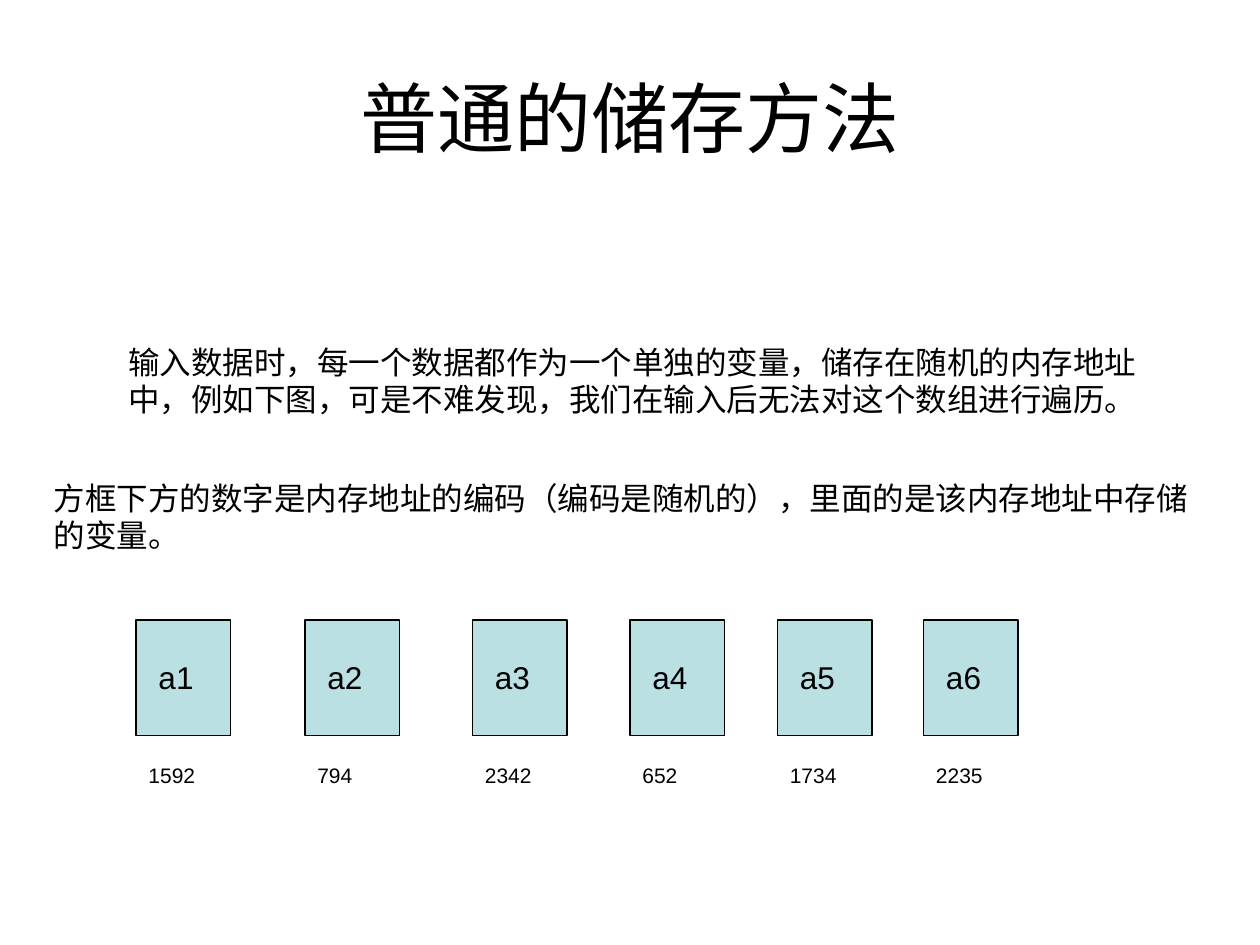
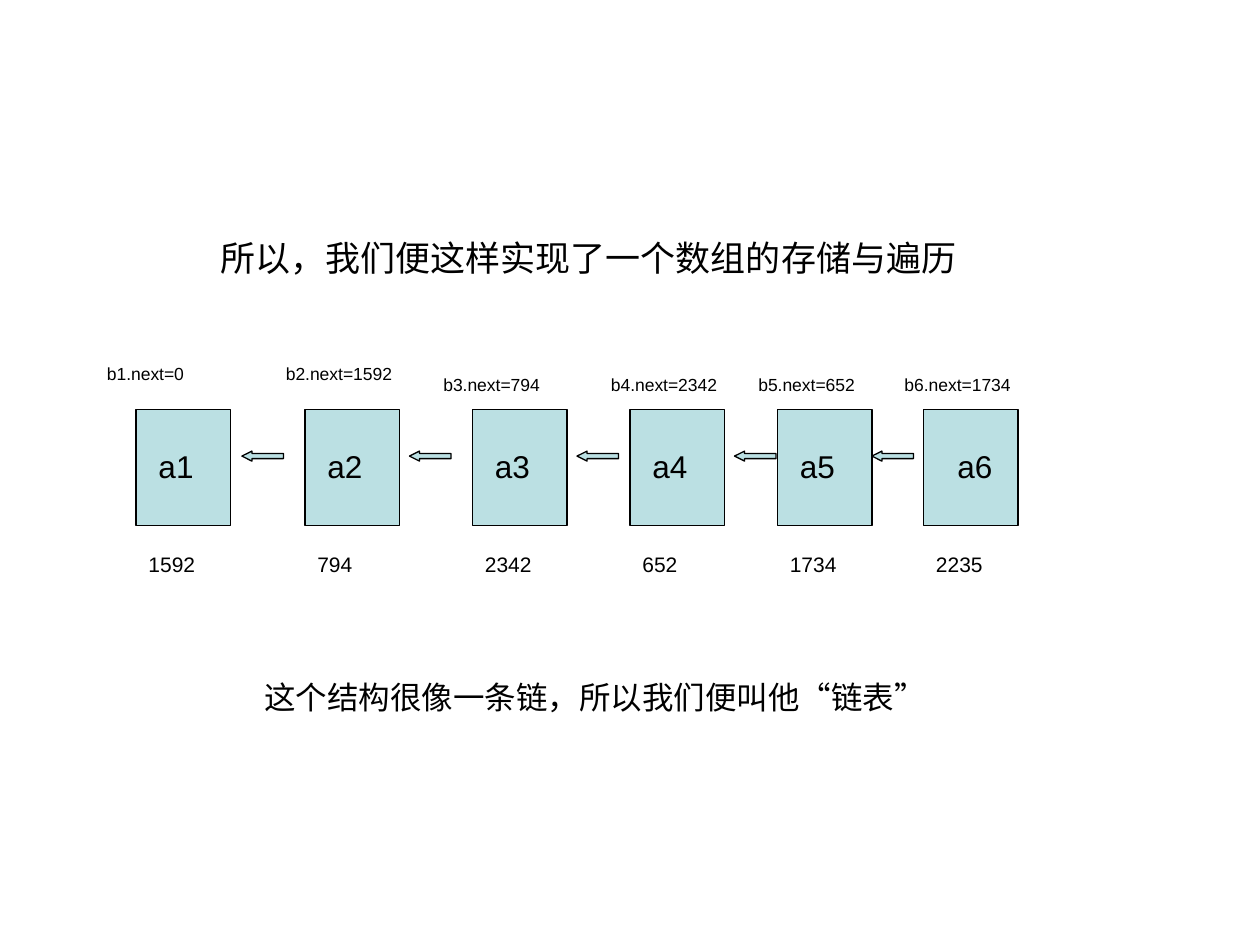
from dataclasses import dataclass

from pptx import Presentation
from pptx.dml.color import RGBColor
from pptx.enum.shapes import MSO_SHAPE as Preset
from pptx.enum.text import MSO_ANCHOR as Anchor, MSO_AUTO_SIZE as AutoSize, PP_ALIGN as Align
from pptx.shapes.autoshape import Shape
from pptx.slide import Slide
from pptx.util import Inches, Pt

BLACK = RGBColor(0x00, 0x00, 0x00)
CELL_FILL = RGBColor(0xBB, 0xE0, 0xE3)
FONT = "Arial"
BODY_SIZE, ADDRESS_SIZE, NEXT_SIZE = 18, 12, 10
CELL_W, CELL_H = 0.75, 0.92
ARROW_W, ARROW_H = 0.33, 0.08


@dataclass(frozen=True)
class Node:
    """A stored variable with its address and its link to the previous node."""
    name: str
    left: float
    address: str
    next_left: float
    next_top: float
    next_address: str


NODES = [
    Node("1", 1.08, "1592", 0.75, 2.83, "0"),
    Node("2", 2.42, "794", 2.17, 2.83, "1592"),
    Node("3", 3.75, "2342", 3.42, 2.92, "794"),
    Node("4", 5.00, "652", 4.75, 2.92, "2342"),
    Node("5", 6.17, "1734", 5.92, 2.92, "652"),
    Node("6", 7.33, "2235", 7.08, 2.92, "1734"),
]
ARROW_LEFTS = [1.92, 3.25, 4.58, 5.83, 6.92]


def add_text(s: Slide, text: str, left: float, top: float, width: float,
             height: float, size: float = BODY_SIZE, title: bool = False) -> Shape:
    """Add a wrapped text box in the title or the body style."""
    sp = s.shapes.add_textbox(Inches(left), Inches(top), Inches(width), Inches(height))
    tf = sp.text_frame
    frame_format = {
        "word_wrap": True,
        "vertical_anchor": Anchor.MIDDLE if title else Anchor.TOP,
        "auto_size": AutoSize.NONE if title else AutoSize.SHAPE_TO_FIT_TEXT,
    }
    for key, value in frame_format.items():
        setattr(tf, key, value)
    p = tf.paragraphs[0]
    p.alignment = Align.CENTER if title else Align.LEFT
    p.space_before = Pt(0 if title else size * 0.625)
    r = p.add_run()
    r.text = text
    for key, value in {"name": FONT, "size": Pt(size)}.items():
        setattr(r.font, key, value)
    r.font.color.rgb = BLACK
    return sp


def add_title(s: Slide, text: str, left: float, top: float, size: float) -> None:
    """Add a centred title."""
    add_text(s, text, left, top, 9, 1.25, size, title=True)


def add_preset(s: Slide, preset: Preset, left: float, top: float,
               width: float, height: float) -> Shape:
    """Add a pale teal shape with a thin black outline."""
    sp = s.shapes.add_shape(preset, Inches(left), Inches(top), Inches(width), Inches(height))
    sp.shadow.inherit = False
    sp.fill.solid()
    sp.fill.fore_color.rgb = CELL_FILL
    sp.line.color.rgb = BLACK
    sp.line.width = Pt(0.75)
    return sp


def add_memory_row(s: Slide, top: float, last_indent: float = 0.08) -> None:
    """Draw the six memory cells with their variables and addresses."""
    for node in NODES:
        indent = last_indent if node is NODES[-1] else 0.08
        add_preset(s, Preset.RECTANGLE, node.left, top, CELL_W, CELL_H)
        add_text(s, f"a{node.name}", node.left + indent, top + 0.25, 0.5, 0.4)
        add_text(s, node.address, node.left, top + 1.08, CELL_W, 0.3, ADDRESS_SIZE)


def build_plain_storage(s: Slide) -> None:
    """Build the slide on ordinary storage."""
    add_title(s, "普通的储存方法", 0.5, 0.3, 44)
    add_text(s, "输入数据时，每一个数据都作为一个单独的变量，储存在随机的内存地址中，"
                "例如下图，可是不难发现，我们在输入后无法对这个数组进行遍历。",
             0.92, 2.67, 8.42, 0.7)
    add_text(s, "方框下方的数字是内存地址的编码（编码是随机的），"
                "里面的是该内存地址中存储的变量。", 0.33, 3.75, 9.25, 0.7)
    add_memory_row(s, 4.92)


def build_linked_list(s: Slide) -> None:
    """Build the slide on the linked list."""
    add_title(s, "所以，我们便这样实现了一个数组的存储与遍历", 0.17, 1.42, 20)
    add_memory_row(s, 3.25, last_indent=0.17)
    for node in NODES:
        add_text(s, f"b{node.name}.next={node.next_address}",
                 node.next_left, node.next_top, 1.25, 0.27, NEXT_SIZE)
    for left in ARROW_LEFTS:
        sp = add_preset(s, Preset.LEFT_ARROW, left, 3.58, ARROW_W, ARROW_H)
        sp.adjustments[1] = 1.0
    add_text(s, "这个结构很像一条链，所以我们便叫他“链表”", 2, 5.33, 5.67, 0.4)


def main() -> None:
    """Build and save the presentation."""
    prs = Presentation()
    prs.slide_width, prs.slide_height = Inches(10), Inches(7.5)
    for build in (build_plain_storage, build_linked_list):
        build(prs.slides.add_slide(prs.slide_layouts[6]))
    prs.save("out.pptx")


if __name__ == "__main__":
    main()
